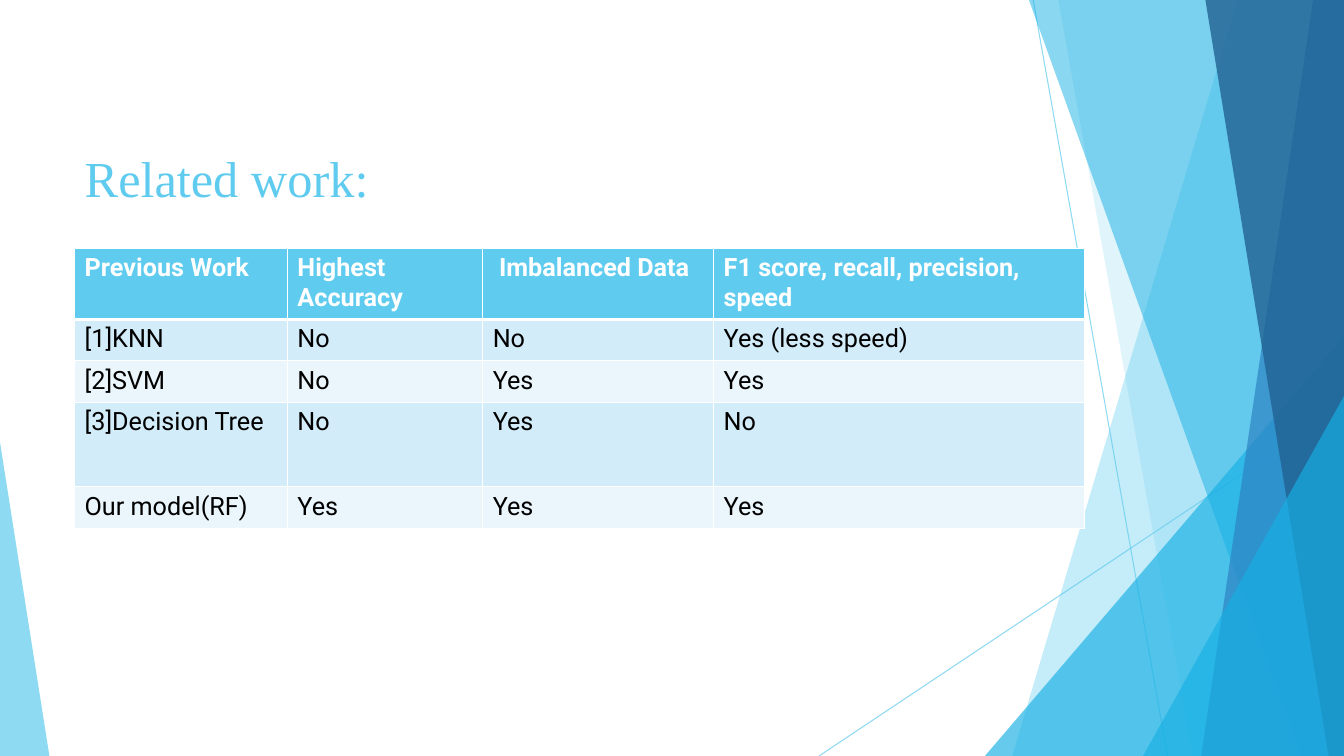
from dataclasses import dataclass
from typing import Any

from lxml import etree
from pptx import Presentation
from pptx import util as u
from pptx.dml.color import RGBColor
from pptx.enum import shapes, text
from pptx.oxml import ns

Pt = u.Pt
Point = tuple[float, float]
WIDTH, HEIGHT = 960, 540


@dataclass(frozen=True)
class Theme:
    sky: str = "5FCBEF"
    cyan: str = "17B0E4"
    blue: str = "2E83C3"
    navy: str = "226292"
    band_dark: str = "D2ECF9"
    band_light: str = "EAF6FC"
    white: str = "FFFFFF"
    black: str = "000000"
    title_font: str = "Times New Roman"
    table_font: str = "Roboto"
    title_size: float = 36
    table_size: float = 18


@dataclass(frozen=True)
class Ray:
    start: Point
    end: Point
    color: str
    opacity: int


@dataclass(frozen=True)
class Facet:
    top_left: float
    bottom_left: float
    color: str
    opacity: int


@dataclass(frozen=True)
class Corner:
    left: float
    top: float
    width: float
    apex: float
    color: str
    opacity: int


THEME = Theme()
BACKDROP: list[Ray | Facet | Corner] = [
    Ray((738, 0), (834, HEIGHT), THEME.sky, 70),
    Ray((WIDTH, 290), (585, HEIGHT), THEME.sky, 70),
    Facet(884, 723, THEME.sky, 36),
    Facet(756, 852, THEME.sky, 20),
    Corner(703.5, 240, 256.5, 1, THEME.cyan, 66),
    Facet(735, 929.5, THEME.cyan, 50),
    Facet(938, 858, THEME.blue, 70),
    Facet(861, 949, THEME.navy, 80),
    Corner(816.5, 283, 143.5, 1, THEME.cyan, 66),
    Corner(0, 316, 35.3, 0, THEME.sky, 70),
]
COLUMNS = [152, 139.5, 165, 265]
ROW_HEIGHTS = [51, 29.5, 29.5, 60.5, 29.5]
ROWS = [
    ["Previous Work", "Highest Accuracy", " Imbalanced Data", "F1 score, recall, precision, speed"],
    ["[1]KNN", "No", "No", "Yes (less speed)"],
    ["[2]SVM", "No", "Yes", "Yes"],
    ["[3]Decision Tree", "No", "Yes", "No"],
    ["Our model(RF)", "Yes", "Yes", "Yes"],
]


def rgb(color: str) -> RGBColor:
    return RGBColor.from_string(color)


def apply(target: Any, values: dict[str, Any]) -> None:
    for name, value in values.items():
        setattr(target, name, value)


def write(tf: Any, words: str, color: str, font: dict[str, Any]) -> None:
    p = tf.paragraphs[0]
    p.alignment = text.PP_ALIGN.LEFT
    r = p.add_run()
    r.text = words
    apply(r.font, font)
    r.font.color.rgb = rgb(color)


def set_opacity(sp: Any, percent: int) -> None:
    for color in sp._element.spPr.iter(ns.qn("a:srgbClr")):
        etree.SubElement(color, ns.qn("a:alpha")).set("val", str(percent * 1000))


def draw_ray(s: Any, ray: Ray) -> None:
    ends = [Pt(v) for v in (*ray.start, *ray.end)]
    line = s.shapes.add_connector(shapes.MSO_CONNECTOR.STRAIGHT, *ends)
    line.line.color.rgb = rgb(ray.color)
    line.line.width = Pt(0.75)
    set_opacity(line, ray.opacity)
    etree.SubElement(line._element.spPr, ns.qn("a:effectLst"))


def paint(sp: Any, color: str, opacity: int) -> None:
    sp.shadow.inherit = False
    sp.fill.solid()
    sp.fill.fore_color.rgb = rgb(color)
    sp.line.fill.background()
    set_opacity(sp, opacity)


def draw_facet(s: Any, facet: Facet) -> None:
    outline = s.shapes.build_freeform(Pt(facet.top_left), 0)
    corners = [(WIDTH, 0), (WIDTH, HEIGHT), (facet.bottom_left, HEIGHT)]
    outline.add_line_segments([(Pt(x), Pt(y)) for x, y in corners], close=True)
    paint(outline.convert_to_shape(), facet.color, facet.opacity)


def draw_corner(s: Any, corner: Corner) -> None:
    box = (corner.left, corner.top, corner.width, HEIGHT - corner.top)
    sp = s.shapes.add_shape(shapes.MSO_SHAPE.ISOSCELES_TRIANGLE, *map(Pt, box))
    sp.adjustments[0] = corner.apex
    paint(sp, corner.color, corner.opacity)


def set_borders(cell: Any, widths: dict[str, float]) -> None:
    tc_pr = cell._tc.get_or_add_tcPr()
    for side, width in widths.items():
        line = etree.SubElement(tc_pr, ns.qn(f"a:ln{side}"), w=str(Pt(width)))
        fill = etree.SubElement(line, ns.qn("a:solidFill"))
        etree.SubElement(fill, ns.qn("a:srgbClr"), val=THEME.white)


def draw_table(s: Any) -> None:
    box = (53.3, 177.3, sum(COLUMNS), sum(ROW_HEIGHTS))
    table = s.shapes.add_table(len(ROWS), len(COLUMNS), *map(Pt, box)).table
    table.horz_banding = False
    for column, width in zip(table.columns, COLUMNS):
        column.width = Pt(width)
    for i, (row, height, words) in enumerate(zip(table.rows, ROW_HEIGHTS, ROWS)):
        row.height = Pt(height)
        header = i == 0
        band = THEME.band_dark if i % 2 else THEME.band_light
        font = {"name": THEME.table_font, "size": Pt(THEME.table_size), "bold": header}
        for cell, label in zip(row.cells, words):
            set_borders(cell, {"L": 1, "R": 1, "T": 3 if i == 1 else 1, "B": 3 if header else 1})
            cell.fill.solid()
            cell.fill.fore_color.rgb = rgb(THEME.sky if header else band)
            write(cell.text_frame, label, THEME.white if header else THEME.black, font)


def draw_title(s: Any) -> None:
    title = s.shapes.title
    apply(title, {"left": Pt(53.3), "top": Pt(48), "width": Pt(677), "height": Pt(104)})
    tf = title.text_frame
    apply(tf, {"vertical_anchor": text.MSO_ANCHOR.BOTTOM, "word_wrap": True,
               "margin_left": Pt(7.2), "margin_right": Pt(7.2),
               "margin_top": Pt(3.6), "margin_bottom": Pt(3.6)})
    write(tf, "Related work:", THEME.sky,
          {"name": THEME.title_font, "size": Pt(THEME.title_size)})
    tf.paragraphs[0].line_spacing = 1.0


def main() -> None:
    prs = Presentation()
    apply(prs, {"slide_width": Pt(WIDTH), "slide_height": Pt(HEIGHT)})
    s = prs.slides.add_slide(prs.slide_layouts[5])
    draw = {Ray: draw_ray, Facet: draw_facet, Corner: draw_corner}
    for part in BACKDROP:
        draw[type(part)](s, part)
    draw_title(s)
    draw_table(s)
    prs.save("out.pptx")


main()
